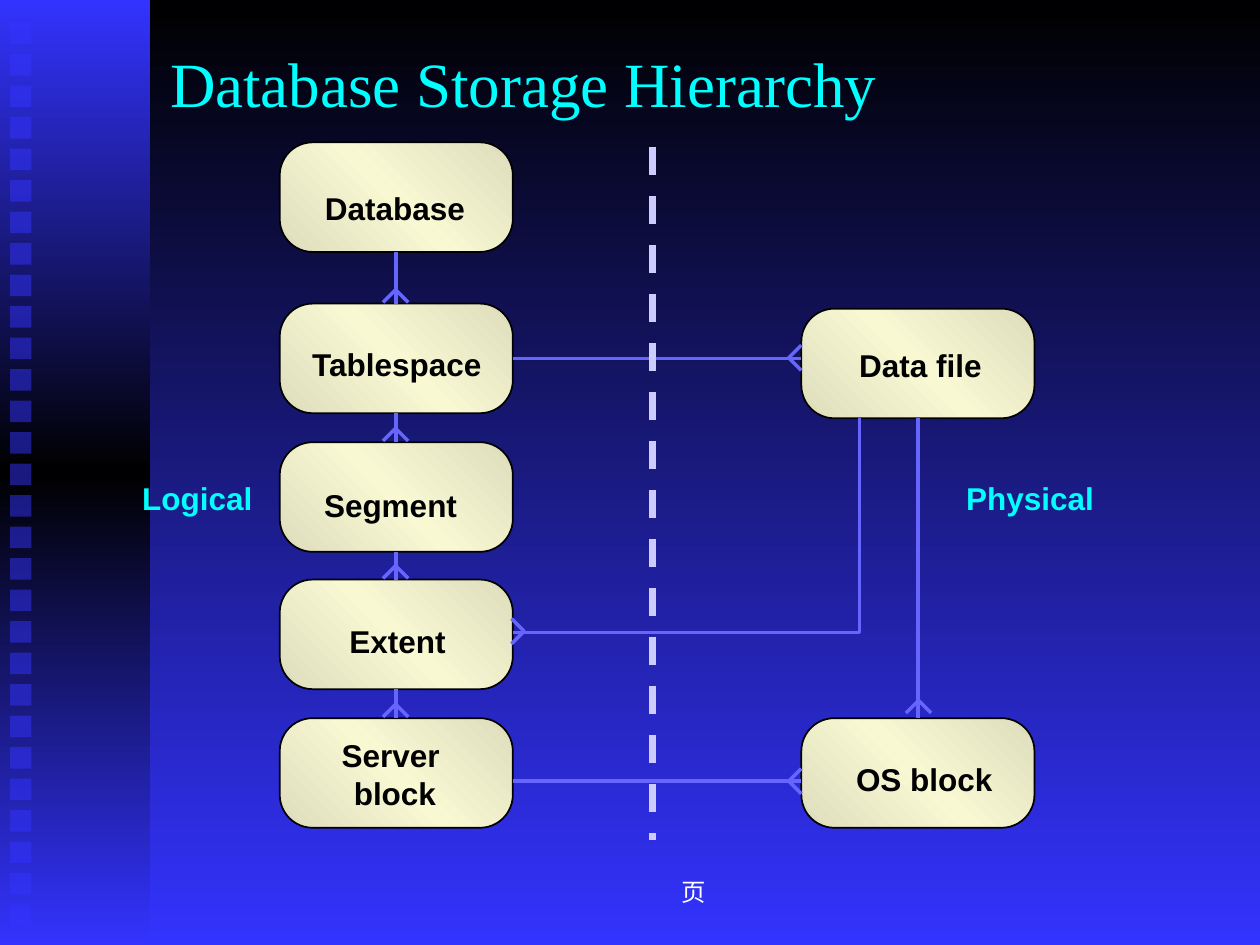
import copy
from dataclasses import dataclass

import pptx
import pptx.dml.color
import pptx.enum.dml
import pptx.enum.shapes
import pptx.enum.text
import pptx.oxml
import pptx.oxml.ns
import pptx.util

Inches = pptx.util.Inches
Pt = pptx.util.Pt
qn = pptx.oxml.ns.qn
ALIGN = pptx.enum.text.PP_ALIGN
ANCHOR = pptx.enum.text.MSO_ANCHOR
PRESET = pptx.enum.shapes.MSO_SHAPE
TOP, LEFT, BOTTOM, RIGHT = range(4)


@dataclass(frozen=True)
class Theme:
    black: str = "000000"
    blue: str = "3333FF"
    link: str = "6666FF"
    divider: str = "CCCCFF"
    cyan: str = "00FFFF"
    white: str = "FFFFFF"
    cream: tuple = ("DDDDBC", "F8F8D3", "DDDDBC")
    sans: str = "Arial"
    serif: str = "Times New Roman"
    title_size: int = 36
    label_size: int = 18
    footer_size: int = 14


@dataclass(frozen=True)
class Node:
    """A storage unit: its box corner, and the place of its name."""
    lines: tuple
    left: float
    top: float
    label_at: tuple  # left, top, width, height


@dataclass(frozen=True)
class CrowFoot:
    """The tip of a "many" mark and the direction in which it opens."""
    x: float
    y: float
    dx: int
    dy: int


THEME = Theme()
NODE_WIDTH, NODE_HEIGHT = 1.85, 0.87
FOOT = 0.1
LOGICAL_X, PHYSICAL_X = 2.22, 6.36

LOGICAL = [
    Node(("Database",), LOGICAL_X, 1.13, (2.48, 1.45, 1.31, 0.4)),
    Node(("Tablespace",), LOGICAL_X, 2.41, (2.37, 2.69, 1.56, 0.4)),
    Node(("Segment",), LOGICAL_X, 3.51, (2.47, 3.81, 1.26, 0.4)),
    Node(("Extent",), LOGICAL_X, 4.6, (2.67, 4.89, 0.97, 0.4)),
    Node(("Server", " block"), LOGICAL_X, 5.7, (2.61, 5.79, 0.98, 0.7)),
]
PHYSICAL = [
    Node(("Data file",), PHYSICAL_X, 2.45, (6.72, 2.7, 1.17, 0.4)),
    Node(("OS block",), PHYSICAL_X, 5.7, (6.69, 5.98, 1.29, 0.4)),
]
CROW_FEET = [CrowFoot(3.14, y, 0, 1) for y in (2.3, 3.4, 4.49, 5.59)] + [
    CrowFoot(7.29, 5.56, 0, 1),
    CrowFoot(6.26, 2.84, 1, 0),
    CrowFoot(6.26, 6.2, 1, 0),
    CrowFoot(4.16, 5.01, -1, 0),
]


def rgb(code: str):
    return pptx.dml.color.RGBColor.from_string(code)


def fill_gradient(fill, element, colours: tuple, angle: int) -> None:
    """Spread the colours evenly; the angle runs clockwise."""
    fill.gradient()
    stop_list = next(element.iter(qn("a:gsLst")))
    for _ in colours[2:]:
        stop_list.append(copy.deepcopy(stop_list[-1]))
    for i, (stop, colour) in enumerate(zip(fill.gradient_stops, colours)):
        stop.position = i / (len(colours) - 1)
        stop.color.rgb = rgb(colour)
    fill.gradient_angle = 360 - angle


def add_block(slide, preset, left: float, top: float, width: float, height: float):
    block = slide.shapes.add_shape(
        preset, Inches(left), Inches(top), Inches(width), Inches(height))
    block.shadow.inherit = False
    block.line.fill.background()
    return block


def add_sidebar(slide) -> None:
    band = add_block(slide, PRESET.RECTANGLE, 0, 0, 1.19, 7.5)
    fill_gradient(band.fill, band._element, (THEME.blue, THEME.black, THEME.blue), 90)
    for i in range(29):
        square = add_block(slide, PRESET.RECTANGLE, 0.08, 0.18 + 0.25 * i, 0.17, 0.17)
        square.fill.solid()
        square.fill.fore_color.rgb = rgb(THEME.blue)
        colour = next(square._element.spPr.iter(qn("a:srgbClr")))
        colour.append(pptx.oxml.parse_xml(
            f'<a:alpha {pptx.oxml.ns.nsdecls("a")} val="50000"/>'))


def add_words(paragraph, words: str, size: int, colour: str, face: str, bold: bool = False):
    run = paragraph.add_run()
    run.text = words
    run.font.size = Pt(size)
    run.font.bold = bold
    run.font.color.rgb = rgb(colour)
    run.font.name = face
    return run


def add_label(slide, lines: tuple, at: tuple, colour: str):
    label = slide.shapes.add_textbox(*map(Inches, at))
    label.text_frame.word_wrap = False
    label.text_frame.auto_size = pptx.enum.text.MSO_AUTO_SIZE.SHAPE_TO_FIT_TEXT
    paragraph = label.text_frame.paragraphs[0]
    for i, line in enumerate(lines):
        if i:
            paragraph.add_line_break()
        add_words(paragraph, line, THEME.label_size, colour, THEME.sans, True)
    return paragraph


def add_node(slide, node: Node):
    box = add_block(slide, PRESET.ROUNDED_RECTANGLE,
                    node.left, node.top, NODE_WIDTH, NODE_HEIGHT)
    box.adjustments[0] = 0.3
    fill_gradient(box.fill, box._element, THEME.cream, 135)
    box.line.color.rgb = rgb(THEME.black)
    box.line.width = Pt(1)
    add_label(slide, node.lines, node.label_at, THEME.black).alignment = ALIGN.CENTER
    return box


def add_line(slide, start: tuple, end: tuple, colour: str = THEME.link, width: int = 2):
    line = slide.shapes.add_connector(
        pptx.enum.shapes.MSO_CONNECTOR.STRAIGHT, *map(Inches, start + end))
    line.line.color.rgb = rgb(colour)
    line.line.width = Pt(width)
    line._element.spPr.append(pptx.oxml.parse_xml(
        f'<a:effectLst {pptx.oxml.ns.nsdecls("a")}/>'))
    return line


def join_down(slide, upper, lower) -> None:
    link = add_line(slide, (0, 0), (0, 0))
    link.begin_connect(upper, BOTTOM)
    link.end_connect(lower, TOP)


def add_path(slide, points: list) -> None:
    start, *rest = [(Inches(x), Inches(y)) for x, y in points]
    builder = slide.shapes.build_freeform(*start)
    builder.add_line_segments(rest, close=False)
    path_line = builder.convert_to_shape()
    path_line.shadow.inherit = False
    path_line.fill.background()
    path_line.line.color.rgb = rgb(THEME.link)
    path_line.line.width = Pt(2)


def add_crow_foot(slide, foot: CrowFoot) -> None:
    toes = [(foot.x + FOOT * (foot.dx + side * foot.dy),
             foot.y + FOOT * (foot.dy + side * foot.dx)) for side in (-1, 1)]
    add_path(slide, [toes[0], (foot.x, foot.y), toes[1]])


def set_title(slide, words: str) -> None:
    title = slide.shapes.title
    title.left, title.top, title.width, title.height = map(Inches, (1.25, 0.25, 8.5, 0.58))
    frame = title.text_frame
    frame.auto_size = pptx.enum.text.MSO_AUTO_SIZE.NONE
    frame.vertical_anchor = ANCHOR.TOP
    frame.margin_top = Inches(0.1)
    frame.paragraphs[0].alignment = ALIGN.LEFT
    run = add_words(frame.paragraphs[0], words, THEME.title_size, THEME.cyan, THEME.serif)
    run._r.rPr.find(qn("a:solidFill")).addnext(pptx.oxml.parse_xml(
        f'<a:effectLst {pptx.oxml.ns.nsdecls("a")}><a:outerShdw dist="38100" dir="2700000">'
        f'<a:srgbClr val="{THEME.black}"/></a:outerShdw></a:effectLst>'))


def main() -> None:
    deck = pptx.Presentation()
    deck.slide_width, deck.slide_height = Inches(10), Inches(7.5)
    slide = deck.slides.add_slide(deck.slide_layouts[5])
    fill_gradient(slide.background.fill, slide._element, (THEME.black, THEME.blue), 90)
    add_sidebar(slide)
    set_title(slide, "Database Storage Hierarchy")

    logical = [add_node(slide, node) for node in LOGICAL]
    data_file, os_block = [add_node(slide, node) for node in PHYSICAL]
    for upper, lower in zip(logical, logical[1:]):
        join_down(slide, upper, lower)
    join_down(slide, data_file, os_block)

    logical_right = LOGICAL_X + NODE_WIDTH
    tablespace_y = LOGICAL[1].top + NODE_HEIGHT / 2
    to_file = add_line(slide, (logical_right, tablespace_y), (PHYSICAL_X, tablespace_y))
    to_file.begin_connect(logical[1], RIGHT)
    add_line(slide, (logical_right, 6.2), (PHYSICAL_X, 6.2))
    add_path(slide, [(logical_right, 5.02), (6.82, 5.02), (6.82, 3.32)])
    for foot in CROW_FEET:
        add_crow_foot(slide, foot)

    divider = add_line(slide, (5.18, 1.17), (5.18, 6.67), THEME.divider, 4)
    divider.line.dash_style = pptx.enum.dml.MSO_LINE.DASH
    for side, left, width in (("Logical", 1.03, 1.08), ("Physical", 7.57, 1.22)):
        heading = add_label(slide, (side,), (left, 3.8, width, 0.36), THEME.cyan)
        heading.line_spacing = 0.85
        heading.space_before = Pt(7.9)

    footer = slide.shapes.add_textbox(*map(Inches, (3.92, 6.83, 3.17, 0.5))).text_frame
    footer.word_wrap = True
    footer.vertical_anchor = ANCHOR.MIDDLE
    footer.paragraphs[0].alignment = ALIGN.CENTER
    add_words(footer.paragraphs[0], "页", THEME.footer_size, THEME.white, THEME.serif)
    deck.save("out.pptx")


if __name__ == "__main__":
    main()
